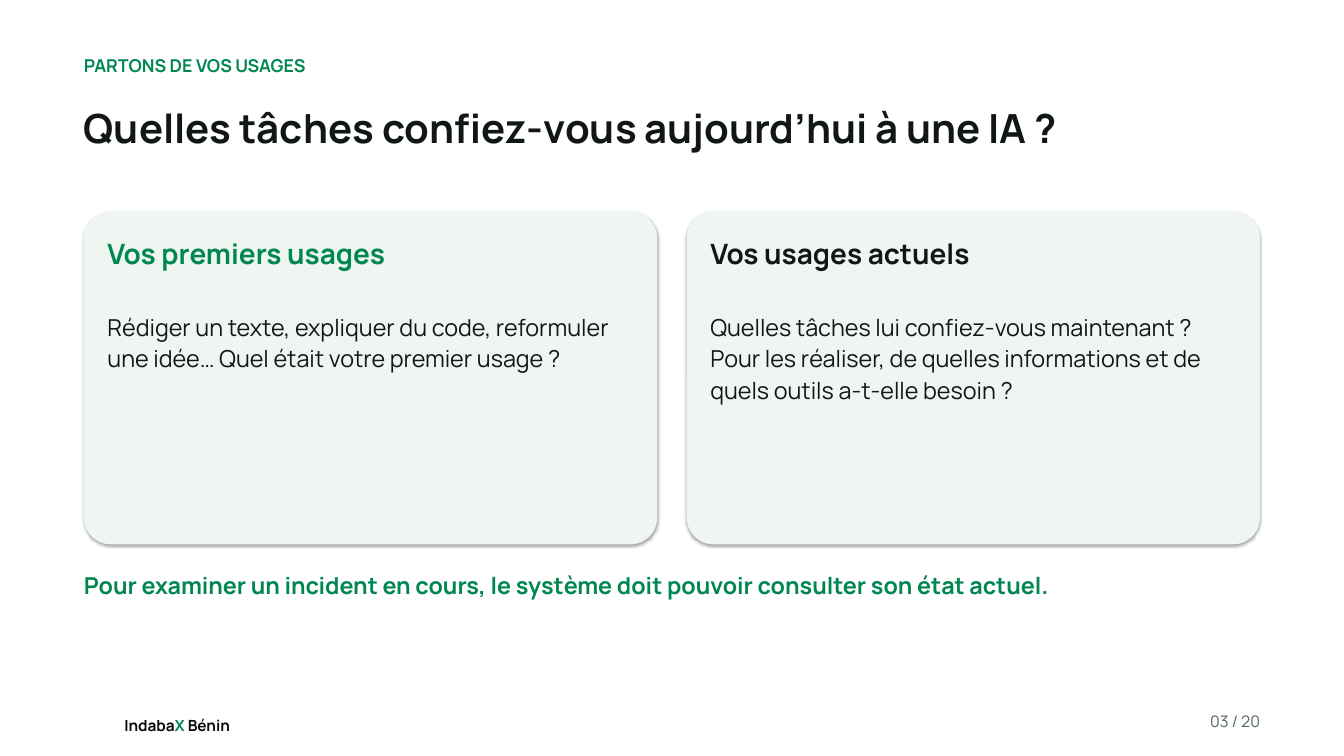
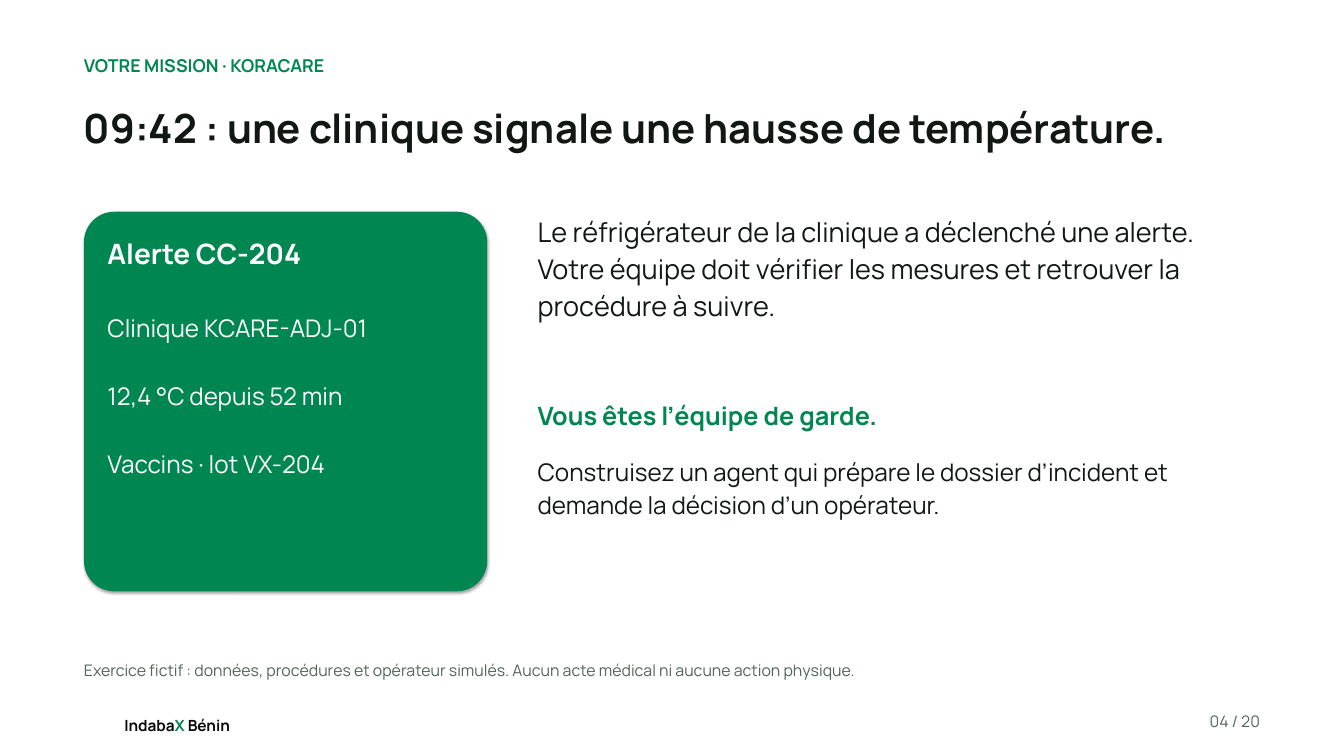
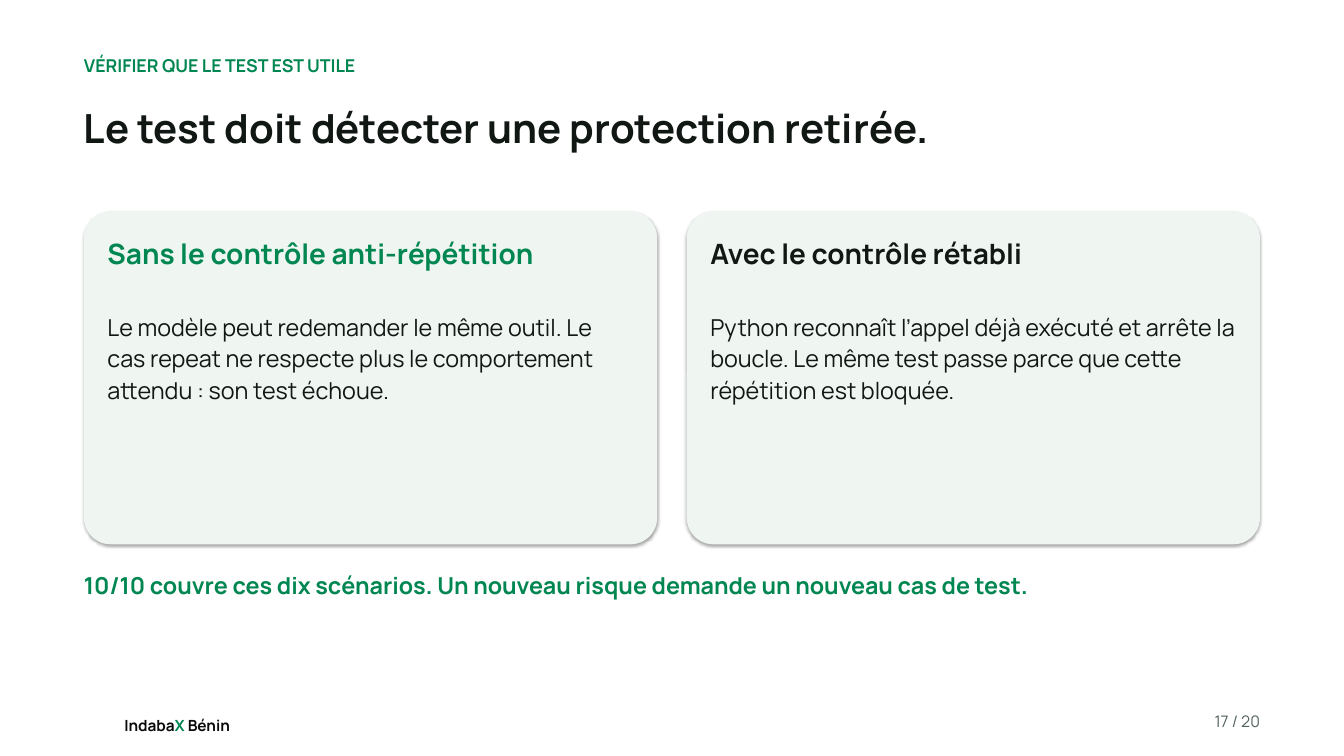
from lxml import etree
from pptx import Presentation
from pptx.dml.color import RGBColor
from pptx.enum.shapes import MSO_SHAPE
from pptx.enum.text import MSO_AUTO_SIZE, PP_ALIGN
from pptx.oxml.ns import qn
from pptx.util import Inches, Pt

GREEN = RGBColor(0x00, 0x87, 0x51)
INK = RGBColor(0x11, 0x17, 0x13)
BLACK = RGBColor(0x0A, 0x0A, 0x0A)
GREY = RGBColor(0x53, 0x64, 0x5A)
MINT = RGBColor(0xEF, 0xF6, 0xF1)
WHITE = RGBColor(0xFF, 0xFF, 0xFF)
FONT = "Manrope"

W, H = 20, 11.25
MARGIN = W / 16
CONTENT_W = W - 2 * MARGIN
GUTTER = 0.44
HALF_W = (CONTENT_W - GUTTER) / 2
CARD_TOP = 3.15
PAD = 0.35
PAGES = 20


def add_text(s, paragraphs, left, top, width, height, size=25, color=INK, bold=False,
             align=PP_ALIGN.LEFT, spacing=1.13, after=7):
    """Each paragraph is a string or a list of (text, colour) runs."""
    box = s.shapes.add_textbox(Inches(left), Inches(top), Inches(width), Inches(height))
    tf = box.text_frame
    tf.word_wrap = True
    tf.auto_size = MSO_AUTO_SIZE.SHAPE_TO_FIT_TEXT
    tf.margin_left = tf.margin_top = tf.margin_right = tf.margin_bottom = 0
    for i, runs in enumerate(paragraphs):
        p = tf.add_paragraph() if i else tf.paragraphs[0]
        p.alignment, p.line_spacing, p.space_after = align, spacing, Pt(after)
        for text, run_color in [(runs, color)] if isinstance(runs, str) else runs:
            r = p.add_run()
            r.text = text
            r.font.name, r.font.size, r.font.bold = FONT, Pt(size), bold
            r.font.color.rgb = run_color


def add_card(s, left, width, height, heading, body, fill=MINT, heading_color=INK,
             body_color=INK, body_size=25, after=7):
    card = s.shapes.add_shape(MSO_SHAPE.ROUNDED_RECTANGLE, Inches(left), Inches(CARD_TOP),
                              Inches(width), Inches(height))
    card.adjustments[0] = 0.08
    card.fill.solid()
    card.fill.fore_color.rgb = fill
    card.line.fill.background()
    card.shadow.inherit = False
    effects = card.element.spPr.find(qn("a:effectLst"))
    shadow = etree.SubElement(effects, qn("a:outerShdw"), blurRad=str(Pt(3.1)),
                              dist=str(Pt(1.8)), dir="5400000", rotWithShape="0")
    black = etree.SubElement(shadow, qn("a:srgbClr"), val="000000")
    etree.SubElement(black, qn("a:alpha"), val="35000")

    inner_left, inner_w = left + PAD, width - 2 * PAD
    add_text(s, [heading], inner_left, CARD_TOP + 0.3, inner_w, 1,
             size=30, color=heading_color, bold=True)
    add_text(s, body, inner_left, CARD_TOP + 1.45, inner_w, height - 1.65,
             size=body_size, color=body_color, after=after)


prs = Presentation()
prs.slide_width, prs.slide_height = Inches(W), Inches(H)

# Shared frame: kicker, title and footer
headers = [
    (3, "PARTONS DE VOS USAGES", "Quelles tâches confiez-vous aujourd’hui à une IA ?"),
    (4, "VOTRE MISSION · KORACARE", "09:42 : une clinique signale une hausse de température."),
    (17, "VÉRIFIER QUE LE TEST EST UTILE", "Le test doit détecter une protection retirée."),
]
slides = []
for number, kicker, title in headers:
    s = prs.slides.add_slide(prs.slide_layouts[6])
    s.background.fill.solid()
    s.background.fill.fore_color.rgb = WHITE
    add_text(s, [[("Indaba", BLACK), ("X", GREEN), (" Bénin", BLACK)]], 1.85, 10.61, 1.73, 0.28,
             size=16.5, bold=True, spacing=Pt(23.1), after=0)
    add_text(s, [f"{number:02} / {PAGES}"], W - MARGIN - 1.4, 10.55, 1.4, 0.4,
             size=17, color=GREY, align=PP_ALIGN.RIGHT)
    add_text(s, [kicker], MARGIN, 0.78, CONTENT_W, 0.4, size=19, color=GREEN, bold=True)
    add_text(s, [title], MARGIN, 1.45, CONTENT_W, 1.5, size=43, bold=True)
    slides.append(s)
usages, mission, verification = slides

# Two-card comparisons with a closing line
comparisons = [
    (usages,
     [("Vos premiers usages",
       "Rédiger un texte, expliquer du code, reformuler une idée… "
       "Quel était votre premier usage ?"),
      ("Vos usages actuels",
       "Quelles tâches lui confiez-vous maintenant ? Pour les réaliser, de quelles "
       "informations et de quels outils a-t-elle besoin ?")],
     "Pour examiner un incident en cours, le système doit pouvoir consulter son état actuel."),
    (verification,
     [("Sans le contrôle anti-répétition",
       "Le modèle peut redemander le même outil. Le cas repeat ne respecte plus le "
       "comportement attendu : son test échoue."),
      ("Avec le contrôle rétabli",
       "Python reconnaît l’appel déjà exécuté et arrête la boucle. Le même test passe "
       "parce que cette répétition est bloquée.")],
     "10/10 couvre ces dix scénarios. Un nouveau risque demande un nouveau cas de test."),
]
for s, cards, closing in comparisons:
    for col, (heading, body) in enumerate(cards):
        add_card(s, MARGIN + col * (HALF_W + GUTTER), HALF_W, 4.95, heading, [body],
                 heading_color=INK if col else GREEN)
    add_text(s, [closing], MARGIN, 8.45, CONTENT_W, 1, color=GREEN, bold=True)

# Mission: alert card and briefing
add_card(mission, MARGIN, 6, 5.65, "Alerte CC-204",
         ["Clinique KCARE-ADJ-01", "12,4 °C depuis 52 min", "Vaccins · lot VX-204"],
         fill=GREEN, heading_color=WHITE, body_color=WHITE, body_size=26, after=38)
briefing = [
    (CARD_TOP, 2.4, 29, INK, False,
     "Le réfrigérateur de la clinique a déclenché une alerte. Votre équipe doit vérifier "
     "les mesures et retrouver la procédure à suivre."),
    (5.9, 0.6, 27, GREEN, True, "Vous êtes l’équipe de garde."),
    (6.75, 1.9, 26, INK, False,
     "Construisez un agent qui prépare le dossier d’incident et demande la décision "
     "d’un opérateur."),
]
for top, height, size, color, bold, text in briefing:
    add_text(mission, [text], 0.4 * W, top, 10.7, height, size=size, color=color, bold=bold)
add_text(mission, ["Exercice fictif : données, procédures et opérateur simulés. "
                   "Aucun acte médical ni aucune action physique."],
         MARGIN, 9.8, CONTENT_W, 0.62, size=17, color=GREY)

prs.save("out.pptx")
